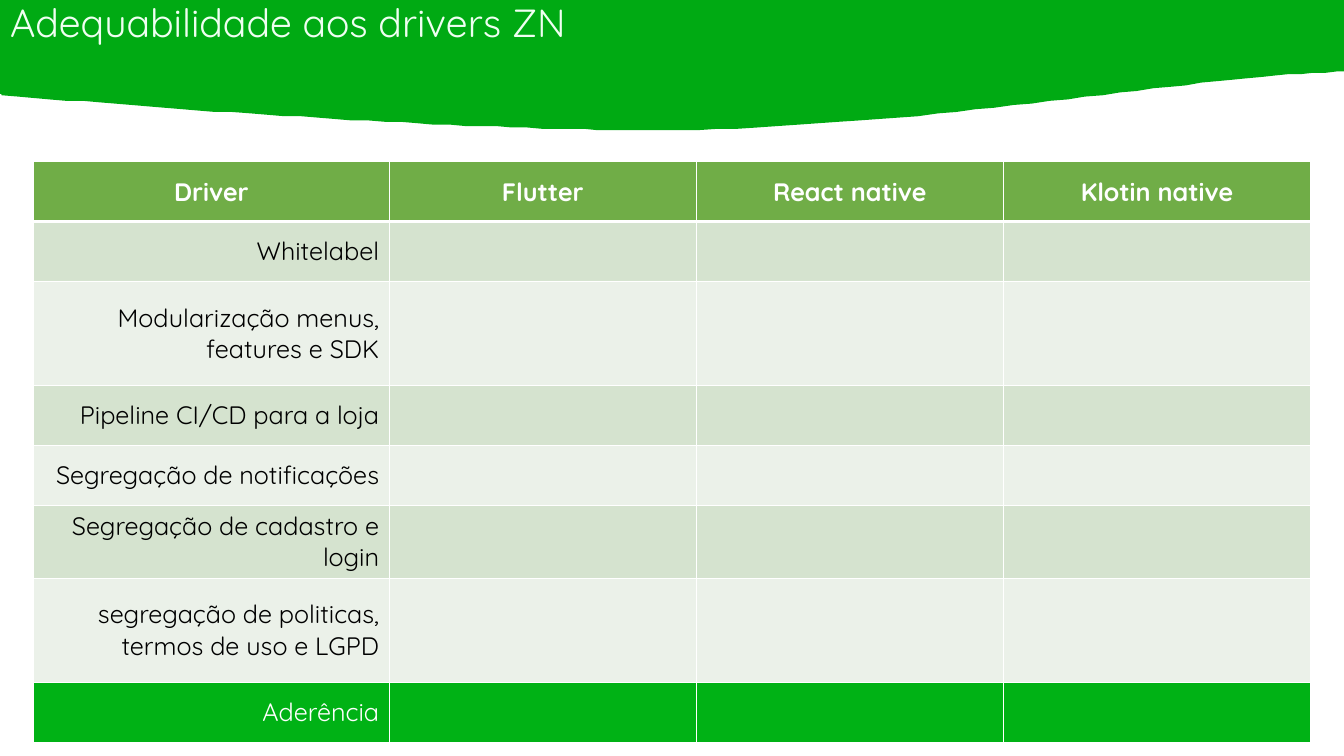
from lxml.etree import SubElement
from pptx import Presentation
from pptx.dml.color import RGBColor
from pptx.enum.text import MSO_ANCHOR as Anchor, MSO_AUTO_SIZE as AutoSize, PP_ALIGN as Align
from pptx.oxml import parse_xml
from pptx.oxml.ns import nsdecls, qn
from pptx.util import Pt

# Content
TITLE = "Adequabilidade aos drivers ZN"
HEADERS = ["Driver", "Flutter", "React native", "Klotin native"]
DRIVERS = [
    "Whitelabel",
    "Modularização menus, features e SDK",
    "Pipeline CI/CD para a loja",
    "Segregação de notificações",
    "Segregação de cadastro e login",
    "segregação de politicas, termos de uso e LGPD",
    "Aderência",
]
TALL_DRIVERS = {DRIVERS[1], DRIVERS[5]}

FONT = "Quicksand"
COLORS = {
    "banner": "00AA13", "title": "EFFFF1", "header": "70AD47", "band_dark": "D5E3CF",
    "band_light": "EBF1E9", "total": "00B215", "white": "FFFFFF", "black": "000000",
}

# Layout, in points
WIDTH, HEIGHT = 960, 540
TABLE_LEFT, TABLE_TOP = 24, 115.5
DRIVER_WIDTH, OPTION_WIDTH = 254, 219.4
ROW_HEIGHT, TALL_HEIGHT = 42.8, 74.2
# Lower edge of the banner: start point, then cubic curves (two controls, end)
WAVE_START = (-1, 67)
WAVE_CURVES = [
    ((0, 67.2), (0.7, 67.6), (1.4, 67.7)),
    ((150, 80.6), (335, 92.2), (455, 92.9)),
    ((648, 94.3), (847, 54.7), (955, 51.3)),
]


def color(name):
    return RGBColor.from_string(COLORS[name])


def curve_points(start, control_1, control_2, end, steps=40):
    for step in range(1, steps + 1):
        t = step / steps
        weights = ((1 - t) ** 3, 3 * t * (1 - t) ** 2, 3 * t ** 2 * (1 - t), t ** 3)
        corners = (start, control_1, control_2, end)
        yield tuple(sum(w * corner[axis] for w, corner in zip(weights, corners))
                    for axis in (0, 1))


def format_text(text_frame, size, color_name, align, bold=False):
    for paragraph in text_frame.paragraphs:
        paragraph.alignment = align
        for run in paragraph.runs:
            run.font.name = FONT
            run.font.size = Pt(size)
            run.font.bold = bold
            run.font.color.rgb = color(color_name)


def add_borders(cell, bottom_width):
    properties = cell._tc.get_or_add_tcPr()
    widths = {"lnL": 1, "lnR": 1, "lnT": 1, "lnB": bottom_width}
    for position, (tag, width) in enumerate(widths.items()):
        border = parse_xml(f'<a:{tag} {nsdecls("a")} w="{Pt(width)}"><a:solidFill>'
                           f'<a:srgbClr val="{COLORS["white"]}"/></a:solidFill></a:{tag}>')
        properties.insert(position, border)


presentation = Presentation()
presentation.slide_width, presentation.slide_height = Pt(WIDTH), Pt(HEIGHT)
slide = presentation.slides.add_slide(presentation.slide_layouts[5])
slide.background.fill.solid()
slide.background.fill.fore_color.rgb = color("white")

# Title
title = slide.shapes.title
title.left, title.top, title.width, title.height = Pt(0), Pt(0), Pt(720), Pt(36)
title.text_frame.text = TITLE
title.text_frame.auto_size = AutoSize.NONE
title.text_frame.vertical_anchor = Anchor.MIDDLE
title.text_frame.paragraphs[0].line_spacing = 0.9
format_text(title.text_frame, 28, "title", Align.LEFT)

# Wavy banner behind the title
wave = [WAVE_START]
for curve in WAVE_CURVES:
    wave.extend(curve_points(wave[-1], *curve))
builder = slide.shapes.build_freeform(-1, 0, scale=float(Pt(1)))
builder.add_line_segments(wave + [(WIDTH, 51.1), (WIDTH, 0)], close=True)
banner = builder.convert_to_shape()
banner.shadow.inherit = False
banner.fill.solid()
banner.fill.fore_color.rgb = color("banner")
banner.line.fill.background()
title.element.addprevious(banner.element)

# Table of drivers
rows = [HEADERS] + [[driver] + [""] * (len(HEADERS) - 1) for driver in DRIVERS]
widths = [DRIVER_WIDTH] + [OPTION_WIDTH] * (len(HEADERS) - 1)
heights = [TALL_HEIGHT if row[0] in TALL_DRIVERS else ROW_HEIGHT for row in rows]
table = slide.shapes.add_table(
    len(rows), len(HEADERS), Pt(TABLE_LEFT), Pt(TABLE_TOP), Pt(sum(widths)), Pt(sum(heights))
).table
for column, width in zip(table.columns, widths):
    column.width = Pt(width)

for row_index, (row, height) in enumerate(zip(rows, heights)):
    table.rows[row_index].height = Pt(height)
    is_header = row_index == 0
    if is_header:
        fill_name, text_name = "header", "white"
    elif row_index == len(rows) - 1:
        fill_name, text_name = "total", "white"
    else:
        fill_name, text_name = ("band_dark" if row_index % 2 else "band_light"), "black"
    for column_index, text in enumerate(row):
        cell = table.cell(row_index, column_index)
        cell.text_frame.text = text
        cell.vertical_anchor = Anchor.MIDDLE
        cell.fill.solid()
        cell.fill.fore_color.rgb = color(fill_name)
        add_borders(cell, 3 if is_header else 1)
        format_text(cell.text_frame, 18, text_name,
                    Align.CENTER if is_header else Align.RIGHT, is_header)

presentation.save("out.pptx")
